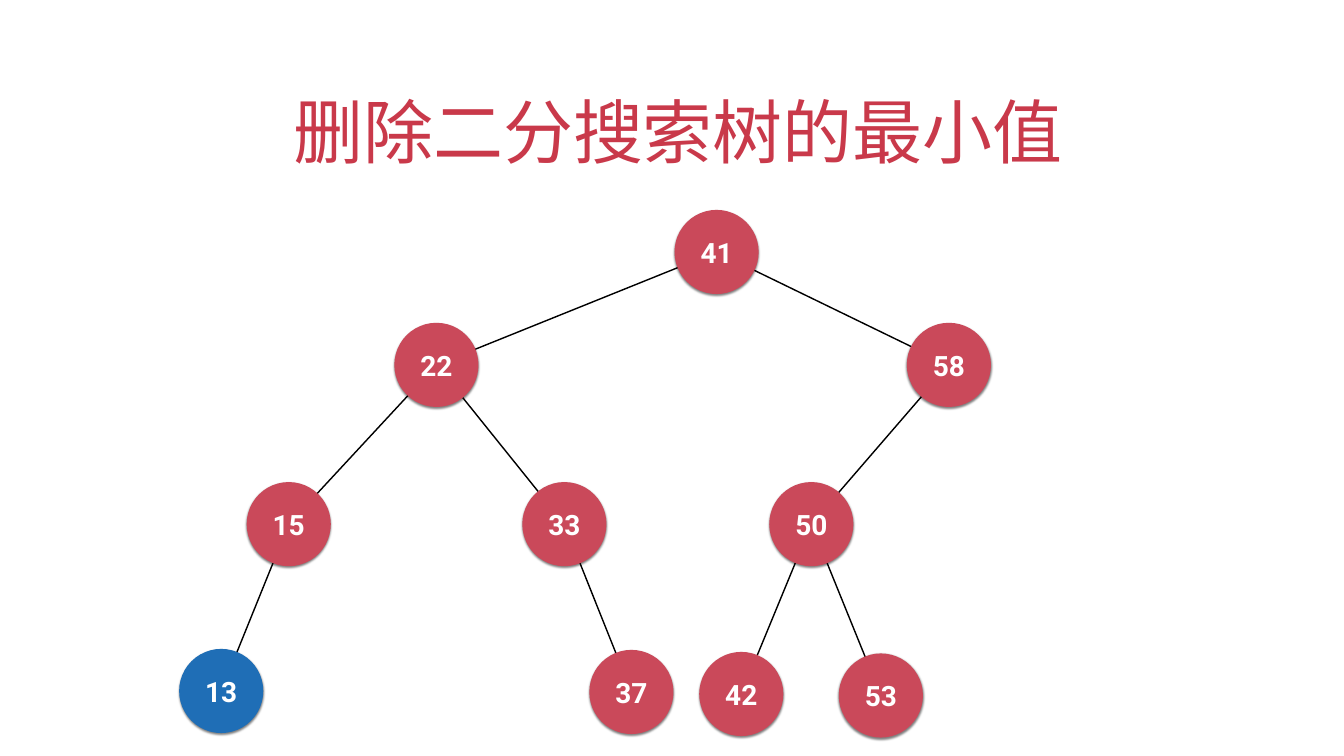
from lxml import etree
from pptx import Presentation
from pptx.dml.color import RGBColor
from pptx.enum import shapes, text
from pptx.oxml import ns
from pptx.util import Inches, Pt

RED = RGBColor(0xCA, 0x49, 0x5A)
BLUE = RGBColor(0x1F, 0x6E, 0xB6)
TITLE_RED = RGBColor(0xC9, 0x39, 0x4A)
WHITE = RGBColor(0xFF, 0xFF, 0xFF)
BLACK = RGBColor(0, 0, 0)
FONT = "Roboto"
DIAMETER = 1.67
INSET = 0.06

NODES = {
    41: (14.22, 5.0),
    22: (8.66, 7.24),
    58: (18.83, 7.24),
    15: (5.73, 10.4),
    33: (11.2, 10.4),
    50: (16.1, 10.4),
    13: (4.39, 13.71),
    37: (12.53, 13.73),
    42: (14.71, 13.77),
    53: (17.48, 13.8),
}
CHILDREN = {41: (22, 58), 22: (15, 33), 58: (50,), 15: (13,), 33: (37,), 50: (42, 53)}
MINIMUM = min(NODES)


def write_text(sp, content, size, color, anchor, bold=False):
    tf = sp.text_frame
    tf.word_wrap = True
    tf.auto_size = text.MSO_AUTO_SIZE.NONE
    tf.vertical_anchor = anchor
    tf.margin_left = tf.margin_right = tf.margin_top = tf.margin_bottom = Inches(INSET)
    p = tf.paragraphs[0]
    p.alignment = text.PP_ALIGN.CENTER
    r = p.add_run()
    r.text = content
    r.font.size = Pt(size)
    r.font.name = FONT
    r.font.bold = bold
    r.font.color.rgb = color
    return p


def add_title(s, content):
    sp = s.shapes.title
    sp.left, sp.top = Inches(1.94), Inches(1.27)
    sp.width, sp.height = Inches(22.78), Inches(2.22)
    p = write_text(sp, content, 100, TITLE_RED, text.MSO_ANCHOR.BOTTOM)
    p._p.get_or_add_pPr().set("indent", str(Inches(0.25)))


def add_edge(s, parent, child):
    points = [Inches(v) for v in NODES[parent] + NODES[child]]
    line = s.shapes.add_connector(shapes.MSO_CONNECTOR.STRAIGHT, *points)
    line.line.color.rgb = BLACK
    line.line.width = Pt(2)
    etree.SubElement(line._element.spPr, ns.qn("a:effectLst"))


def add_shadow(sp):
    sp.shadow.inherit = False
    effects = sp._element.spPr.find(ns.qn("a:effectLst"))
    shadow = etree.SubElement(
        effects, ns.qn("a:outerShdw"), blurRad=str(Pt(3)), dist=str(Pt(2)),
        dir="5400000", rotWithShape="0")
    color = etree.SubElement(shadow, ns.qn("a:srgbClr"), val=str(BLACK))
    etree.SubElement(color, ns.qn("a:alpha"), val="50000")


def add_node(s, value):
    x, y = NODES[value]
    sp = s.shapes.add_shape(
        shapes.MSO_SHAPE.OVAL, Inches(x - DIAMETER / 2), Inches(y - DIAMETER / 2),
        Inches(DIAMETER), Inches(DIAMETER))
    sp.fill.solid()
    sp.fill.fore_color.rgb = BLUE if value == MINIMUM else RED
    sp.line.fill.background()
    add_shadow(sp)
    write_text(sp, str(value), 40, WHITE, text.MSO_ANCHOR.MIDDLE, bold=True)


def main():
    prs = Presentation()
    prs.slide_width, prs.slide_height = Inches(26.67), Inches(15)
    s = prs.slides.add_slide(prs.slide_layouts[0])
    subtitle = s.placeholders[1]._element
    subtitle.getparent().remove(subtitle)

    add_title(s, "删除二分搜索树的最小值")
    for parent, children in CHILDREN.items():
        for child in children:
            add_edge(s, parent, child)
    for value in NODES:
        add_node(s, value)
    prs.save("out.pptx")


if __name__ == "__main__":
    main()
